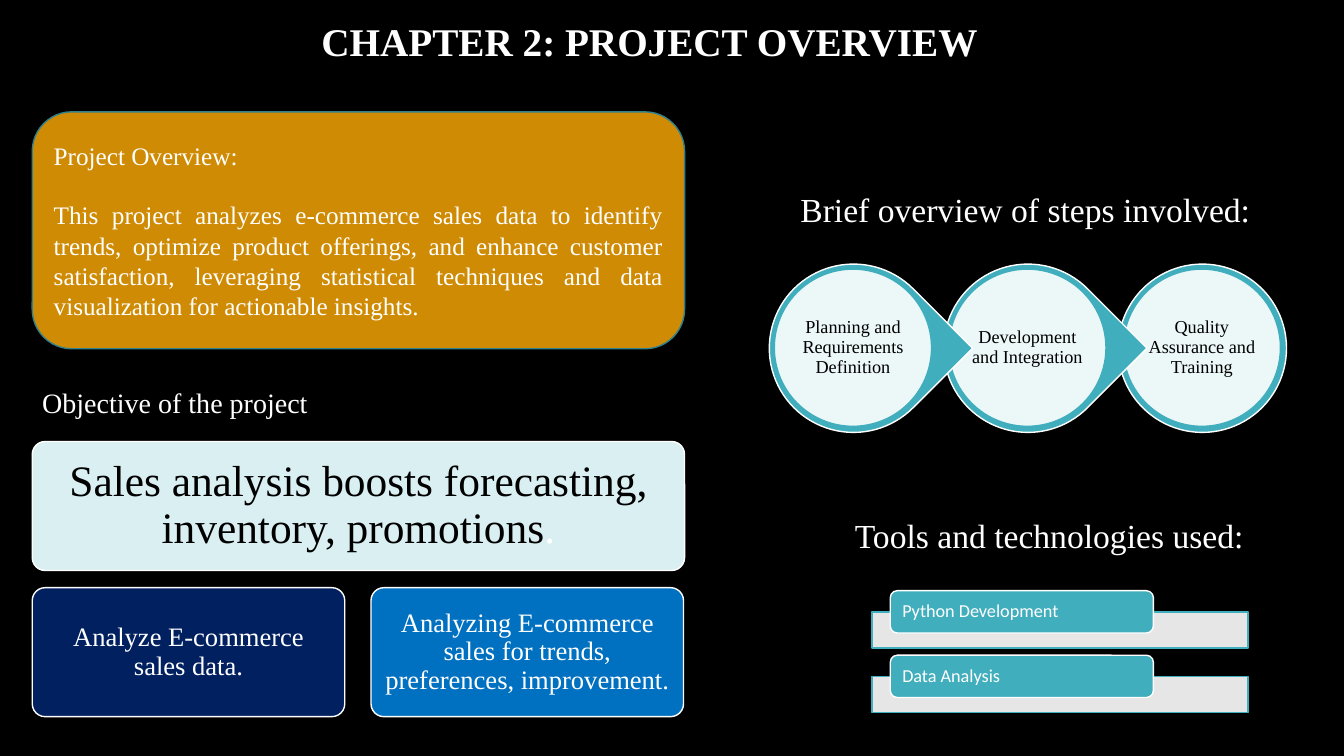
from lxml.etree import SubElement
from pptx import Presentation
from pptx.dml.color import RGBColor
from pptx.enum.shapes import MSO_SHAPE as Shape
from pptx.enum.text import MSO_ANCHOR as Anchor, MSO_AUTO_SIZE as AutoSize, PP_ALIGN as Align
from pptx.oxml.ns import qn
from pptx.util import Inches, Pt

BLACK = RGBColor(0x00, 0x00, 0x00)
WHITE = RGBColor(0xFF, 0xFF, 0xFF)
TEAL = RGBColor(0x41, 0xAE, 0xBD)
DARK_TEAL = RGBColor(0x30, 0x81, 0x8C)
PALE_TEAL = RGBColor(0xD9, 0xEF, 0xF2)
AMBER = RGBColor(0xCF, 0x8B, 0x03)
NAVY = RGBColor(0x00, 0x20, 0x60)
BLUE = RGBColor(0x00, 0x70, 0xC0)

deck = Presentation()
deck.slide_width, deck.slide_height = Inches(13.33), Inches(7.5)
page = deck.slides.add_slide(deck.slide_layouts[6])
page.background.fill.solid()
page.background.fill.fore_color.rgb = BLACK


def write(box, *texts, size, color=WHITE, font="Times New Roman", bold=False,
          align=Align.LEFT, spacing=None, gap=0, insets=(0.1, 0.05),
          anchor=Anchor.MIDDLE, wrap=True):
    frame = box.text_frame
    frame.word_wrap = wrap
    frame.vertical_anchor = anchor
    frame.margin_left = frame.margin_right = Inches(insets[0])
    frame.margin_top = frame.margin_bottom = Inches(insets[1])
    for index, text in enumerate(texts):
        para = frame.paragraphs[0] if index == 0 else frame.add_paragraph()
        para.alignment = align
        para.line_spacing = spacing
        para.space_after = Pt(gap if index < len(texts) - 1 else 0)
        span = para.add_run()
        span.text = text
        span.font.size, span.font.name, span.font.bold = Pt(size), font, bold
        span.font.color.rgb = color


def draw(kind, left, top, width, height, fill, line=WHITE, corner=None, alpha=None):
    shape = page.shapes.add_shape(kind, Inches(left), Inches(top), Inches(width), Inches(height))
    shape.shadow.inherit = False
    shape.fill.solid()
    shape.fill.fore_color.rgb = fill
    shape.line.color.rgb = line
    shape.line.width = Pt(1)
    if corner is not None:
        shape.adjustments[0] = corner
    if alpha is not None:
        tint = shape.fill._xPr.find(qn("a:solidFill"))[0]
        SubElement(tint, qn("a:alpha")).set("val", str(alpha * 1000))
    return shape


headings = [
    ("CHAPTER 2: PROJECT OVERVIEW", 3.09, 0.12, 6.93, 0.57, 28, True, Align.LEFT, False),
    ("Tools and technologies used:", 8.38, 5.06, 4.27, 0.5, 24, False, Align.JUSTIFY, True),
    ("Objective of the project", 0.32, 3.78, 5.8, 0.44, 20, False, Align.JUSTIFY, True),
    ("Brief overview of steps involved:", 7.84, 1.83, 4.7, 0.5, 24, False, Align.JUSTIFY, False),
]
for text, left, top, width, height, size, bold, align, wrap in headings:
    box = page.shapes.add_textbox(Inches(left), Inches(top), Inches(width), Inches(height))
    write(box, text, size=size, bold=bold, align=align, anchor=Anchor.TOP, wrap=wrap)
    box.text_frame.auto_size = AutoSize.SHAPE_TO_FIT_TEXT

steps = ["Planning and Requirements Definition", "Development and Integration",
         "Quality Assurance and Training"]
last_step = len(steps) - 1
for index in range(last_step, -1, -1):
    left = 7.63 + 1.73 * index
    outline = Shape.OVAL if index == last_step else Shape.TEAR
    ring = draw(outline, left, 2.62, 1.67, 1.67, TEAL)
    if index < last_step:
        ring.rotation = 45
    disc = draw(Shape.OVAL, left + 0.05, 2.67, 1.56, 1.56, WHITE, line=TEAL, alpha=90)
    write(disc, steps[index], size=13, color=BLACK, align=Align.CENTER, spacing=0.9, insets=(0, 0))

for index, tool in enumerate(["Python Development", "Data Analysis"]):
    top = 5.86 + 0.64 * index
    draw(Shape.RECTANGLE, 8.65, top + 0.21, 3.73, 0.36, WHITE, line=TEAL, alpha=90)
    label = draw(Shape.ROUNDED_RECTANGLE, 8.83, top, 2.61, 0.42, TEAL)
    write(label, tool, size=13, font="Calibri", spacing=0.9, insets=(0.1, 0))

objectives = [
    ("Sales analysis boosts forecasting, inventory, promotions", 0.32, 4.38, 6.47, PALE_TEAL, BLACK, 31, 0.13),
    ("Analyze E-commerce sales data.", 0.32, 5.83, 3.1, NAVY, WHITE, 19, 0.08),
    ("Analyzing E-commerce sales for trends, preferences, improvement.", 3.68, 5.83, 3.1, BLUE, WHITE, 19, 0.08),
]
cards = []
for text, left, top, width, fill, color, size, inset in objectives:
    card = draw(Shape.ROUNDED_RECTANGLE, left, top, width, 1.28, fill, corner=0.1)
    write(card, text, size=size, color=color, align=Align.CENTER, spacing=0.9, insets=(inset, inset))
    cards.append(card)

full_stop = cards[0].text_frame.paragraphs[0].add_run()
full_stop.text = "."
full_stop.font.size, full_stop.font.name = Pt(31), "Times New Roman"
full_stop.font.color.rgb = WHITE

overview = draw(Shape.ROUNDED_RECTANGLE, 0.32, 1.11, 6.47, 2.35, AMBER, line=DARK_TEAL)
write(overview, "Project Overview:",
      "This project analyzes e-commerce sales data to identify trends, optimize product offerings, "
      "and enhance customer satisfaction, leveraging statistical techniques and data visualization "
      "for actionable insights.",
      size=18, align=Align.JUSTIFY, gap=21)

deck.save("out.pptx")
